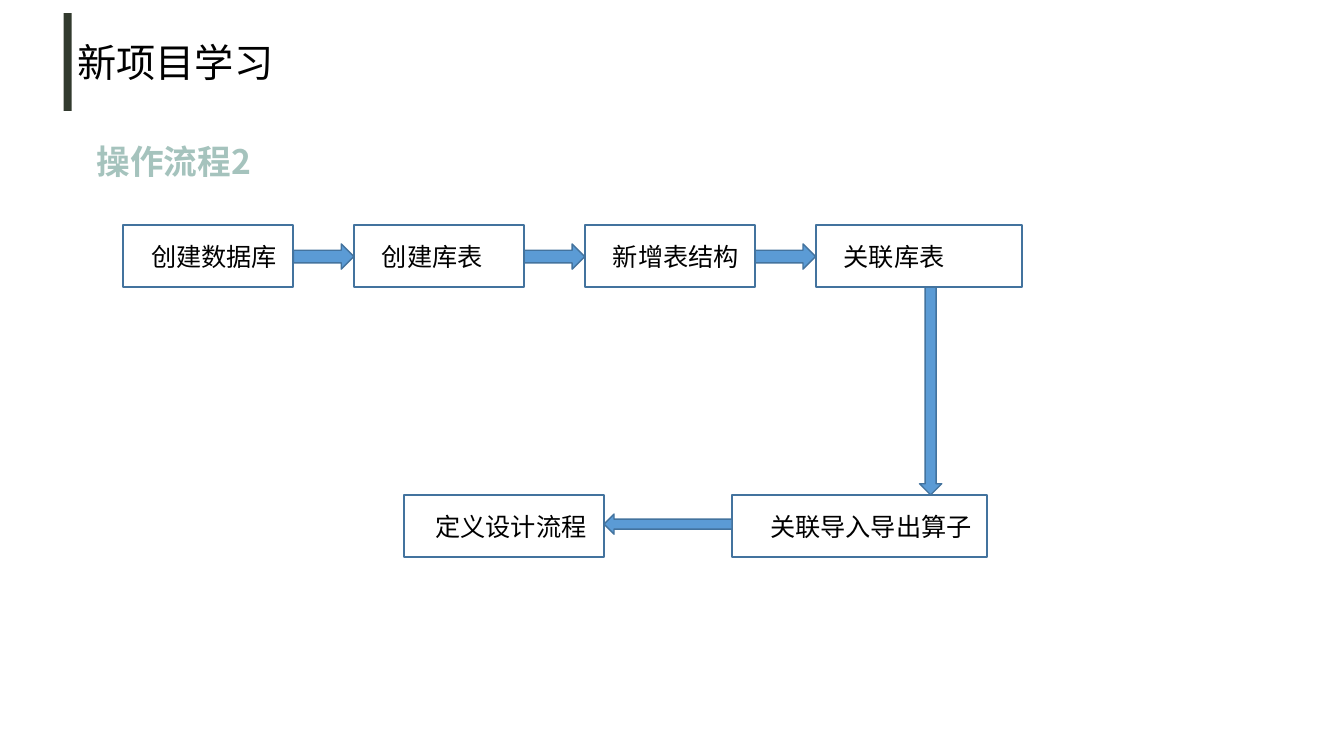
from lxml import etree
from pptx import Presentation
from pptx.dml.color import RGBColor
from pptx.enum.shapes import MSO_SHAPE as SHAPE
from pptx.oxml.ns import qn
from pptx.util import Inches, Pt

FONT = "Noto Sans CJK SC"
BLACK = RGBColor(0x00, 0x00, 0x00)
DARK_GREEN = RGBColor(0x32, 0x3A, 0x2E)
SAGE = RGBColor(0xA5, 0xC3, 0xBD)
BLUE = RGBColor(0x5B, 0x9B, 0xD5)
BLUE_LINE = RGBColor(0x43, 0x73, 0x9E)

BOX_H = 0.62
STEP_W = 1.69
STEP_GAP = 0.6


def add_text(slide, text, x, y, w, h, size, color=BLACK, bold=False):
    tf = slide.shapes.add_textbox(Inches(x), Inches(y), Inches(w), Inches(h)).text_frame
    tf.word_wrap = True
    p = tf.paragraphs[0]
    p.text = text
    p.font.size = Pt(size)
    p.font.bold = bold
    p.font.color.rgb = color
    p.font.name = FONT
    latin = p.font._element.find(qn("a:latin"))
    ea = etree.Element(qn("a:ea"), typeface=FONT)
    latin.addnext(ea)


def add_block(slide, kind, x, y, w, h, fill=None, line=None, weight=1):
    sp = slide.shapes.add_shape(kind, Inches(x), Inches(y), Inches(w), Inches(h))
    sp.shadow.inherit = False
    if fill is None:
        sp.fill.background()
    else:
        sp.fill.solid()
        sp.fill.fore_color.rgb = fill
    if line is None:
        sp.line.fill.background()
    else:
        sp.line.color.rgb = line
        sp.line.width = Pt(weight)


def add_step(slide, text, x, y, w, indent):
    add_block(slide, SHAPE.RECTANGLE, x, y, w, BOX_H, line=BLUE_LINE, weight=1.5)
    add_text(slide, text, x + indent, y + 0.11, w - indent, 0.4, 18)


def add_arrow(slide, kind, x, y, w, h):
    add_block(slide, kind, x, y, w, h, BLUE, BLUE_LINE)


def add_header(slide, x, y):
    add_text(slide, "新项目学习", x + 0.04, y + 0.2, 3.95, 0.57, 28)
    add_block(slide, SHAPE.RECTANGLE, x, y, 0.08, 0.97, DARK_GREEN)
    add_text(slide, "操作流程2", x + 0.23, y + 1.22, 2.65, 0.5, 24, SAGE, True)


def add_top_row(slide, x, y):
    steps = ["创建数据库", "创建库表", "新增表结构", "关联库表"]
    last = len(steps) - 1
    for i, text in enumerate(steps):
        left = x + i * (STEP_W + STEP_GAP)
        add_step(slide, text, left, y, 2.05 if i == last else STEP_W, 0.18)
        if i < last:
            add_arrow(slide, SHAPE.RIGHT_ARROW, left + STEP_W, y + 0.19, STEP_GAP, 0.25)


def add_bottom_row(slide, x, y):
    design_w, gap = 1.98, 1.27
    add_step(slide, "关联导入导出算子", x + design_w + gap, y, 2.53, 0.28)
    add_step(slide, "定义设计流程", x, y, design_w, 0.21)
    add_arrow(slide, SHAPE.LEFT_ARROW, x + design_w, y + 0.19, gap, 0.2)


def main():
    prs = Presentation()
    prs.slide_width, prs.slide_height = Inches(13.33), Inches(7.5)
    s = prs.slides.add_slide(prs.slide_layouts[6])
    top, bottom = 2.23, 4.91
    add_header(s, 0.63, 0.13)
    add_top_row(s, 1.22, top)
    add_bottom_row(s, 4.01, bottom)
    add_arrow(s, SHAPE.DOWN_ARROW, 9.12, top + BOX_H, 0.22, bottom - top - BOX_H)
    prs.save("out.pptx")


if __name__ == "__main__":
    main()
